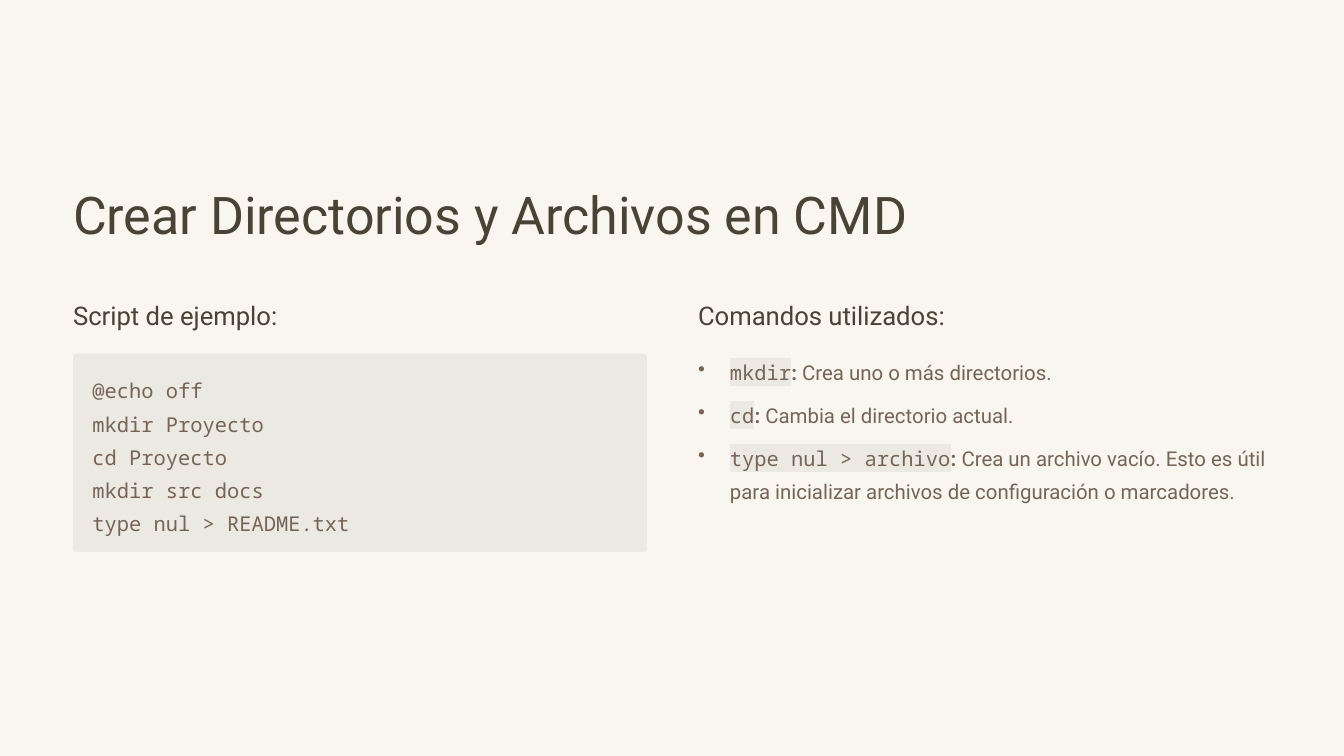
from dataclasses import dataclass

from lxml.etree import SubElement
from pptx import Presentation
from pptx.dml.color import RGBColor
from pptx.enum.shapes import MSO_SHAPE as Preset
from pptx.enum.text import MSO_ANCHOR as Anchor, PP_ALIGN as Align
from pptx.oxml import parse_xml
from pptx.oxml.ns import nsdecls, qn
from pptx.slide import Slide
from pptx.util import Inches, Length, Pt

CREAM = RGBColor(0xF9, 0xF6, 0xF0)
SAND = RGBColor(0xEC, 0xE9, 0xE3)
INK = RGBColor(0x48, 0x42, 0x37)
BROWN = RGBColor(0x74, 0x65, 0x58)
SANS, MONO = "Roboto", "Noto Sans Mono"

WIDTH, HEIGHT = Inches(16), Inches(9)
LEFT_COL, RIGHT_COL, COL_SPAN = 5.44, 51.94, 42.69
HEADING_ROW, COMMAND_ROW, COMMAND_PITCH = 39.44, 46.44, 5.67
BULLET_INDENT = Inches(0.38)


@dataclass(frozen=True)
class Area:
    col: float
    row: float
    cols: float
    rows: float

    def box(self) -> tuple[Length, ...]:
        return (
            Length(round(WIDTH * self.col / 100)),
            Length(round(HEIGHT * self.row / 100)),
            Length(round(WIDTH * self.cols / 100)),
            Length(round(HEIGHT * self.rows / 100)),
        )


@dataclass(frozen=True)
class Span:
    text: str
    font: str = SANS
    size: float = 17.5
    color: RGBColor = BROWN
    bold: bool = False
    highlight: bool = False


@dataclass(frozen=True)
class Heading:
    text: str
    area: Area
    size: float
    leading: float


@dataclass(frozen=True)
class Command:
    syntax: str
    purpose: str
    rows: float = 4.67


HEADINGS = (
    Heading("Crear Directorios y Archivos en CMD",
            Area(LEFT_COL, 23.89, 70.56, 8.67), 44.5, 55.5),
    Heading("Script de ejemplo:",
            Area(LEFT_COL, HEADING_ROW, 19.38, 4.33), 22, 27.5),
    Heading("Comandos utilizados:",
            Area(RIGHT_COL, HEADING_ROW, 20.63, 4.33), 22, 27.5),
)
SCRIPT_LINES = (
    "@echo off",
    "mkdir Proyecto",
    "cd Proyecto",
    "mkdir src docs",
    "type nul > README.txt",
)
COMMANDS = (
    Command("mkdir", " Crea uno o más directorios."),
    Command("cd", " Cambia el directorio actual."),
    Command("type nul > archivo",
            " Crea un archivo vacío. Esto es útil para inicializar "
            "archivos de configuración o marcadores.", 9.11),
)


def add_span(paragraph, span: Span) -> None:
    run = paragraph.add_run()
    run.text = span.text
    run.font.size = Pt(span.size)
    run.font.bold = span.bold
    run.font.color.rgb = span.color
    run.font.name = span.font
    if span.highlight:
        marker = parse_xml(
            f'<a:highlight {nsdecls("a")}><a:srgbClr val="{SAND}"/></a:highlight>')
        run.font._element.find(qn("a:solidFill")).addnext(marker)


def add_text(slide: Slide, area: Area, lines: list[list[Span]],
             leading: float = 28.5, bullet: bool = False) -> None:
    frame = slide.shapes.add_textbox(*area.box()).text_frame
    frame.word_wrap = True
    frame.vertical_anchor = Anchor.TOP
    frame.margin_left = frame.margin_right = 0
    frame.margin_top = frame.margin_bottom = 0
    for index, spans in enumerate(lines):
        paragraph = frame.add_paragraph() if index else frame.paragraphs[0]
        if bullet:
            properties = paragraph._p.get_or_add_pPr()
            properties.set("marL", str(BULLET_INDENT))
            properties.set("indent", str(-BULLET_INDENT))
            SubElement(properties, qn("a:buChar"), char="•")
        paragraph.alignment = Align.LEFT
        paragraph.line_spacing = Pt(leading)
        for span in spans:
            add_span(paragraph, span)


def add_heading(slide: Slide, heading: Heading) -> None:
    title = Span(heading.text, size=heading.size, color=INK)
    add_text(slide, heading.area, [[title]], heading.leading)


def add_code_panel(slide: Slide) -> None:
    area = Area(LEFT_COL, 46.78, COL_SPAN, 26.22)
    panel = slide.shapes.add_shape(Preset.ROUNDED_RECTANGLE, *area.box())
    panel.adjustments[0] = 0.016
    panel.shadow.inherit = False
    panel.fill.solid()
    panel.fill.fore_color.rgb = SAND
    panel.line.fill.background()
    code = [[Span(line, MONO, highlight=True)] for line in SCRIPT_LINES]
    add_text(slide, Area(6.88, 48.89, 39.75, 22), code)


def add_command(slide: Slide, index: int, command: Command) -> None:
    area = Area(RIGHT_COL, COMMAND_ROW + index * COMMAND_PITCH,
                COL_SPAN, command.rows)
    spans = [
        Span(command.syntax, MONO, highlight=True),
        Span(":", bold=True),
        Span(command.purpose),
    ]
    add_text(slide, area, [spans], bullet=True)


def main() -> None:
    deck = Presentation()
    deck.slide_width, deck.slide_height = WIDTH, HEIGHT
    slide = deck.slides.add_slide(deck.slide_layouts[6])
    slide.background.fill.solid()
    slide.background.fill.fore_color.rgb = CREAM
    for heading in HEADINGS:
        add_heading(slide, heading)
    add_code_panel(slide)
    for index, command in enumerate(COMMANDS):
        add_command(slide, index, command)
    deck.save("out.pptx")


if __name__ == "__main__":
    main()
